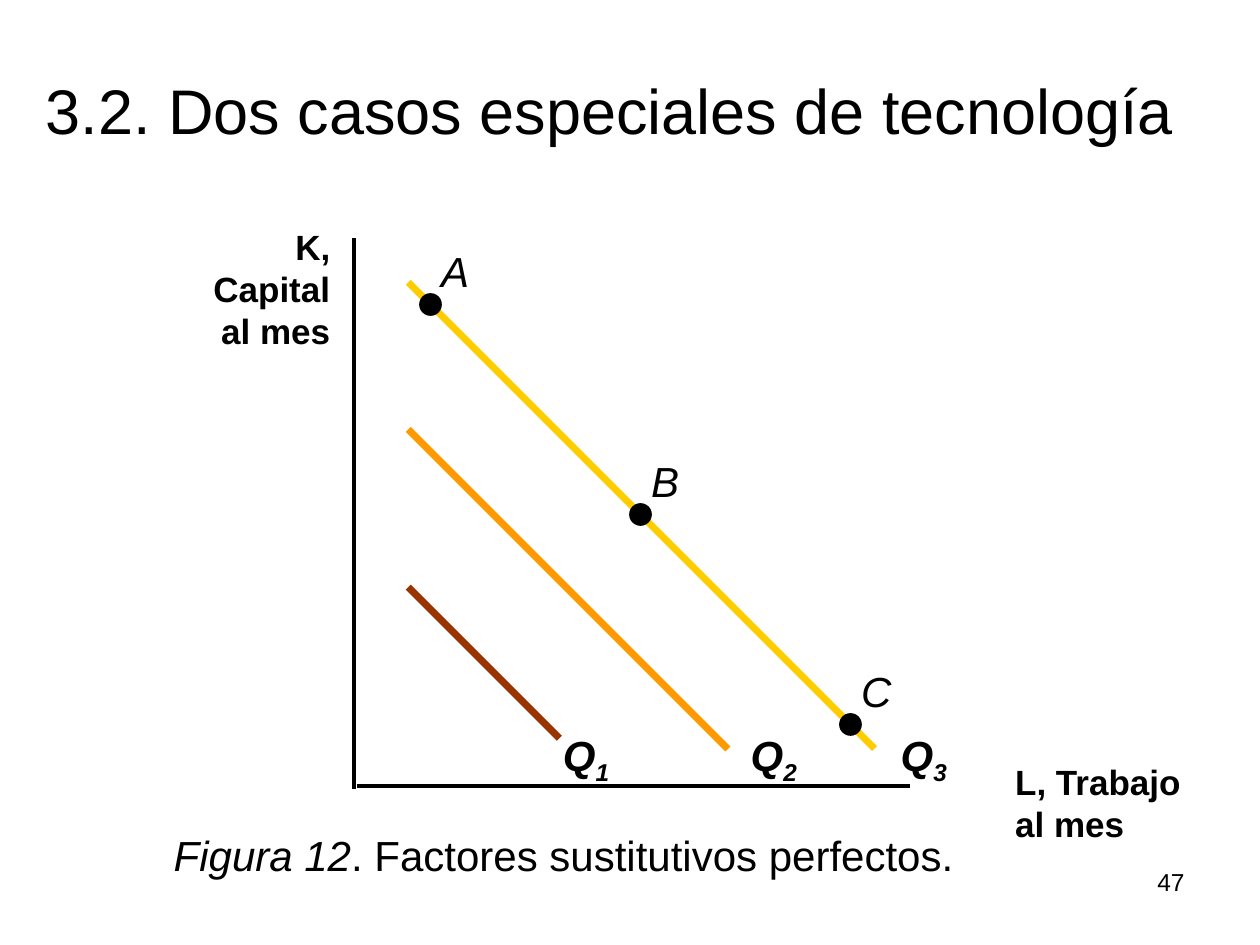
from lxml.etree import SubElement
from pptx import Presentation
from pptx.dml.color import RGBColor
from pptx.enum.shapes import MSO_CONNECTOR, MSO_SHAPE
from pptx.enum.text import MSO_ANCHOR, PP_ALIGN
from pptx.oxml.ns import qn
from pptx.util import Pt

BLACK = RGBColor(0x00, 0x00, 0x00)
BROWN = RGBColor(0x99, 0x33, 0x00)
ORANGE = RGBColor(0xFF, 0x99, 0x00)
YELLOW = RGBColor(0xFF, 0xCC, 0x00)

TITLE = "3.2. Dos casos especiales de tecnología "
CAPITAL_LABEL = ["K, Capital", "al mes"]
LABOUR_LABEL = ["L, Trabajo", "al mes"]
CAPTION = ("Figura 12", ". Factores sustitutivos perfectos.")
PAGE_NUMBER = "47"

AXES = [(202.3, 136, 202.3, 450.7), (203.8, 449.3, 519.8, 449.3)]
ISOQUANTS = [
    ("1", BROWN, 335.5, 86.4, 314.6),
    ("2", ORANGE, 245.4, 182.6, 421.9),
    ("3", YELLOW, 161.3, 266.5, 507.6),
]
ISOQUANT_LEFT = 233.3
ISOQUANT_LABEL_TOP = 413.3
POINTS = ["A", "B", "C"]
FIRST_POINT = (240, 168)
POINT_STEP = 120
POINT_SIZE = 12


def add_line(page, x1, y1, x2, y2, color, width):
    line = page.shapes.add_connector(
        MSO_CONNECTOR.STRAIGHT, Pt(x1), Pt(y1), Pt(x2), Pt(y2))
    line.line.color.rgb = color
    line.line.width = Pt(width)
    SubElement(line._element.spPr, qn("a:effectLst"))


def add_text(page, left, top, width, height, lines, size, bold=False,
             italic=False, align=PP_ALIGN.LEFT, wrap=True):
    box = page.shapes.add_textbox(Pt(left), Pt(top), Pt(width), Pt(height))
    frame = box.text_frame
    frame.word_wrap = wrap
    frame.text = "\n".join(lines)
    for paragraph in frame.paragraphs:
        paragraph.alignment = align
        font = paragraph.font
        font.name = "Arial"
        font.size = Pt(size)
        font.bold = bold
        font.italic = italic
        font.color.rgb = BLACK
    return frame


def add_isoquant(page, index, color, top, length, label_left):
    add_line(page, ISOQUANT_LEFT, top, ISOQUANT_LEFT + length, top + length, color, 4)
    label = add_text(page, label_left, ISOQUANT_LABEL_TOP, 41.8, 36, ["Q"], 24,
                     bold=True, italic=True, wrap=False)
    span = label.paragraphs[0].add_run()
    span.text = index
    span.font._element.set("baseline", "-25000")


def add_point(page, name, left, top):
    dot = page.shapes.add_shape(
        MSO_SHAPE.OVAL, Pt(left), Pt(top), Pt(POINT_SIZE), Pt(POINT_SIZE))
    dot.shadow.inherit = False
    dot.fill.solid()
    dot.fill.fore_color.rgb = BLACK
    dot.line.color.rgb = BLACK
    dot.line.width = Pt(1)
    add_text(page, left + 5, top - 31, 31, 36, [name], 24, italic=True, wrap=False)


def main():
    deck = Presentation()
    deck.slide_width, deck.slide_height = Pt(720), Pt(540)
    page = deck.slides.add_slide(deck.slide_layouts[6])

    add_text(page, 516, 492, 168, 37.5, [PAGE_NUMBER], 14, align=PP_ALIGN.RIGHT)
    title = add_text(page, 17.3, 26.6, 672, 61.2, [TITLE], 36, align=PP_ALIGN.CENTER)
    title.vertical_anchor = MSO_ANCHOR.BOTTOM

    for axis in AXES:
        add_line(page, *axis, BLACK, 2)
    add_text(page, 573, 431.3, 109.5, 54.7, LABOUR_LABEL, 20, bold=True, wrap=False)
    add_text(page, 89.8, 125.3, 106, 54.7, CAPITAL_LABEL, 20, bold=True,
             align=PP_ALIGN.RIGHT)

    for isoquant in ISOQUANTS:
        add_isoquant(page, *isoquant)
    for position, name in enumerate(POINTS):
        left, top = (start + position * POINT_STEP for start in FIRST_POINT)
        add_point(page, name, left, top)

    figure, description = CAPTION
    caption = add_text(page, 92.2, 470.2, 476, 36, [figure], 24, italic=True)
    span = caption.paragraphs[0].add_run()
    span.text = description
    span.font.italic = False

    deck.save("out.pptx")


if __name__ == "__main__":
    main()
